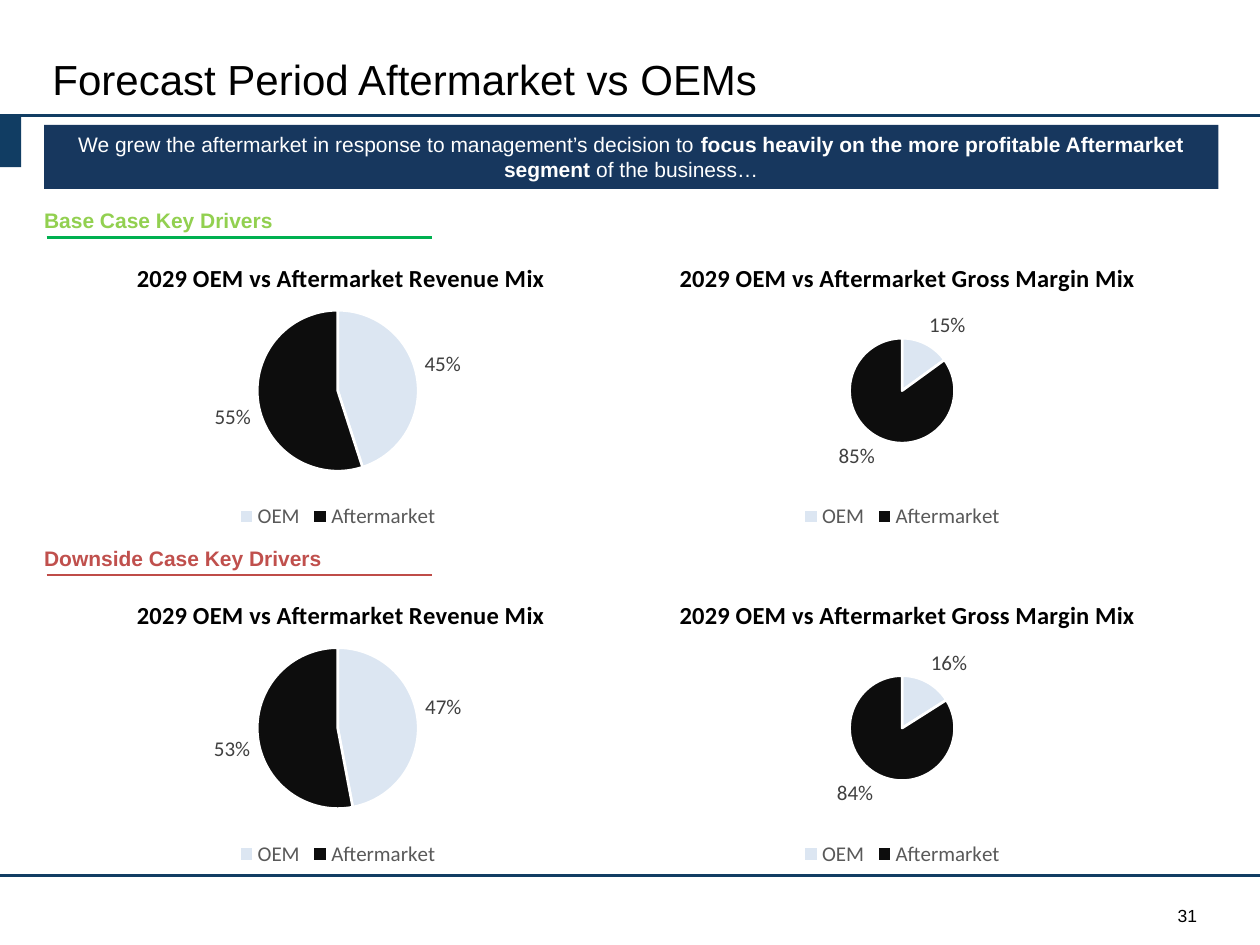
from dataclasses import dataclass

from lxml import etree
from pptx import Presentation
from pptx.chart.data import CategoryChartData
from pptx.dml.color import RGBColor
from pptx.enum.chart import XL_CHART_TYPE, XL_LABEL_POSITION, XL_LEGEND_POSITION
from pptx.enum.shapes import MSO_CONNECTOR, MSO_SHAPE
from pptx.enum.text import MSO_ANCHOR, MSO_AUTO_SIZE, PP_ALIGN
from pptx.oxml.ns import qn
from pptx.util import Pt

PIE = XL_CHART_TYPE.PIE
OUTSIDE_END = XL_LABEL_POSITION.OUTSIDE_END
LEGEND_BOTTOM = XL_LEGEND_POSITION.BOTTOM
STRAIGHT = MSO_CONNECTOR.STRAIGHT
RECTANGLE = MSO_SHAPE.RECTANGLE
TOP, MIDDLE, BOTTOM = MSO_ANCHOR.TOP, MSO_ANCHOR.MIDDLE, MSO_ANCHOR.BOTTOM
NO_AUTOFIT = MSO_AUTO_SIZE.NONE
LEFT, CENTER, RIGHT, JUSTIFY = PP_ALIGN.LEFT, PP_ALIGN.CENTER, PP_ALIGN.RIGHT, PP_ALIGN.JUSTIFY


@dataclass(frozen=True)
class Theme:
    """Colours, fonts and type sizes of the slide."""

    font: str = "Arial"
    chart_font: str = "Calibri"
    black: str = "000000"
    white: str = "FFFFFF"
    frame: str = "113D63"
    banner: str = "17375E"
    base_text: str = "92D050"
    base_line: str = "00B050"
    downside_text: str = "C0504D"
    downside_line: str = "BF4C48"
    oem: str = "DCE6F2"
    aftermarket: str = "0D0D0D"
    label: str = "404040"
    legend: str = "595959"
    title_size: int = 24
    chart_title_size: int = 14
    body_size: int = 12
    small_size: int = 10


THEME = Theme()
SLIDE_WIDTH, SLIDE_HEIGHT = 720, 540
CHART_WIDTH, CHART_HEIGHT = 399, 170.6
CHART_LEFTS = (-6.5, 316)
ROW_TOP, ROW_STEP = 117.4, 192.8


def style_font(font, size, color, bold=False, name=THEME.font):
    """Set face, size, weight and colour of a font."""
    font.name, font.size, font.bold = name, Pt(size), bold
    font.color.rgb = RGBColor.from_string(color)


def set_text(box, text, size, color, align=LEFT, anchor=TOP, bold=False, top_inset=0):
    """Write one evenly formatted paragraph into a box without side insets."""
    frame = box.text_frame
    frame.word_wrap, frame.auto_size = True, NO_AUTOFIT
    frame.vertical_anchor = anchor
    frame.margin_left = frame.margin_right = frame.margin_bottom = 0
    frame.margin_top = Pt(top_inset)
    para = frame.paragraphs[0]
    para.text, para.alignment = text, align
    style_font(para.font, size, color, bold)


def add_title(page, text):
    """Place and format the title placeholder."""
    title = page.shapes.title
    title.left, title.top, title.width, title.height = Pt(30), Pt(30.5), Pt(654), Pt(29)
    set_text(title, text, THEME.title_size, THEME.black, JUSTIFY, MIDDLE)


def add_textbox(page, left, top, width, height, text, size, color, **options):
    """Add a text box holding one paragraph."""
    box = page.shapes.add_textbox(Pt(left), Pt(top), Pt(width), Pt(height))
    set_text(box, text, size, color, **options)


def add_block(page, left, top, width, height, color):
    """Add a plain filled rectangle."""
    block = page.shapes.add_shape(RECTANGLE, Pt(left), Pt(top), Pt(width), Pt(height))
    block.shadow.inherit = False
    block.fill.solid()
    block.fill.fore_color.rgb = RGBColor.from_string(color)
    block.line.fill.background()
    return block


def add_rule(page, left, right, y, color, weight):
    """Add a horizontal line without shadow."""
    rule = page.shapes.add_connector(STRAIGHT, Pt(left), Pt(y), Pt(right), Pt(y))
    rule.line.color.rgb = RGBColor.from_string(color)
    rule.line.width = Pt(weight)
    etree.SubElement(rule.element.spPr, qn("a:effectLst"))


def add_banner(page, spans):
    """Add the message bar from (text, bold) spans."""
    banner = add_block(page, 25.2, 71.3, 671, 36.7, THEME.banner)
    frame = banner.text_frame
    frame.word_wrap, frame.vertical_anchor = True, MIDDLE
    para = frame.paragraphs[0]
    para.alignment = CENTER
    style_font(para.font, THEME.body_size, THEME.white)
    for text, bold in spans:
        span = para.add_run()
        span.text, span.font.bold = text, bold


def set_layout(parent, index, **values):
    """Give a chart part a manual layout in fractions of the chart."""
    for old in parent.findall(qn("c:layout")):
        parent.remove(old)
    layout = etree.Element(qn("c:layout"))
    manual = etree.SubElement(layout, qn("c:manualLayout"))
    for tag, value in values.items():
        etree.SubElement(manual, qn(f"c:{tag}")).set("val", str(value))
    parent.insert(index, layout)


def add_pie(page, left, top, title, title_x, diameter, oem_share):
    """Add a pie of the OEM and aftermarket shares."""
    data = CategoryChartData(number_format="0%")
    data.categories = ["OEM", "Aftermarket"]
    data.add_series("Series 1", [oem_share, round(1 - oem_share, 2)])
    chart = page.shapes.add_chart(
        PIE, Pt(left), Pt(top), Pt(CHART_WIDTH), Pt(CHART_HEIGHT), data
    ).chart
    style_font(chart.font, THEME.small_size, THEME.black, name=THEME.chart_font)

    chart.has_title = True
    para = chart.chart_title.text_frame.paragraphs[0]
    para.text = title
    style_font(para.font, THEME.chart_title_size, THEME.black, True, THEME.chart_font)
    set_layout(chart.chart_title.element, 1, xMode="edge", yMode="edge", x=title_x, y=0.07)

    chart.has_legend = True
    chart.legend.position, chart.legend.include_in_layout = LEGEND_BOTTOM, False
    style_font(chart.legend.font, THEME.body_size, THEME.legend, name=THEME.chart_font)

    plot = chart.plots[0]
    plot.vary_by_categories = True
    for index, color in enumerate((THEME.oem, THEME.aftermarket)):
        wedge = plot.series[0].points[index].format
        wedge.fill.solid()
        wedge.fill.fore_color.rgb = RGBColor.from_string(color)
        wedge.line.color.rgb = RGBColor.from_string(THEME.white)
        wedge.line.width = Pt(1.5)
    plot.has_data_labels = True
    labels = plot.data_labels
    labels.show_value, labels.show_percentage = True, False
    labels.number_format, labels.number_format_is_linked = "0%", False
    labels.position = OUTSIDE_END
    style_font(labels.font, THEME.body_size, THEME.label, name=THEME.chart_font)

    width, height = diameter / CHART_WIDTH, diameter / CHART_HEIGHT
    set_layout(
        chart.element.find(".//" + qn("c:plotArea")), 0,
        layoutTarget="inner", xMode="edge", yMode="edge",
        x=round(0.5 - width / 2, 4), y=round(0.52 - height / 2, 4),
        w=round(width, 4), h=round(height, 4),
    )


def add_case(page, top, heading, text_color, line_color, oem_shares):
    """Add a case heading with its rule and two pies."""
    add_textbox(page, 25.2, top, 286.6, 15.8, heading, THEME.body_size, text_color,
                bold=True, top_inset=1.4)
    add_rule(page, 26.6, 247, top + 18.5, line_color, 1.5)
    pies = (("Revenue", 0.206, 92), ("Gross Margin", 0.175, 60))
    for left, (measure, title_x, diameter), share in zip(CHART_LEFTS, pies, oem_shares):
        title = f"2029 OEM vs Aftermarket {measure} Mix"
        add_pie(page, left, top + 17.2, title, title_x, diameter, share)


def main():
    """Build the slide and save the deck."""
    deck = Presentation()
    deck.slide_width, deck.slide_height = Pt(SLIDE_WIDTH), Pt(SLIDE_HEIGHT)
    page = deck.slides.add_slide(deck.slide_layouts[5])
    for y in (66, 500.4):
        add_rule(page, 0, SLIDE_WIDTH, y, THEME.frame, 1.75)
    add_block(page, 0, 66, 12.2, 29.5, THEME.frame)
    add_title(page, "Forecast Period Aftermarket vs OEMs")
    add_banner(page, (
        ("We grew the aftermarket in response to management’s decision to ", False),
        ("focus heavily on the more profitable Aftermarket segment ", True),
        ("of the business…", False),
    ))
    cases = (
        ("Base Case Key Drivers", THEME.base_text, THEME.base_line, (0.45, 0.15)),
        ("Downside Case Key Drivers", THEME.downside_text, THEME.downside_line, (0.47, 0.16)),
    )
    for row, case in enumerate(cases):
        add_case(page, ROW_TOP + row * ROW_STEP, *case)
    add_textbox(page, 516, 517, 168, 12.2, "31", THEME.small_size, THEME.black,
                align=RIGHT, anchor=BOTTOM)
    deck.save("out.pptx")


if __name__ == "__main__":
    main()
